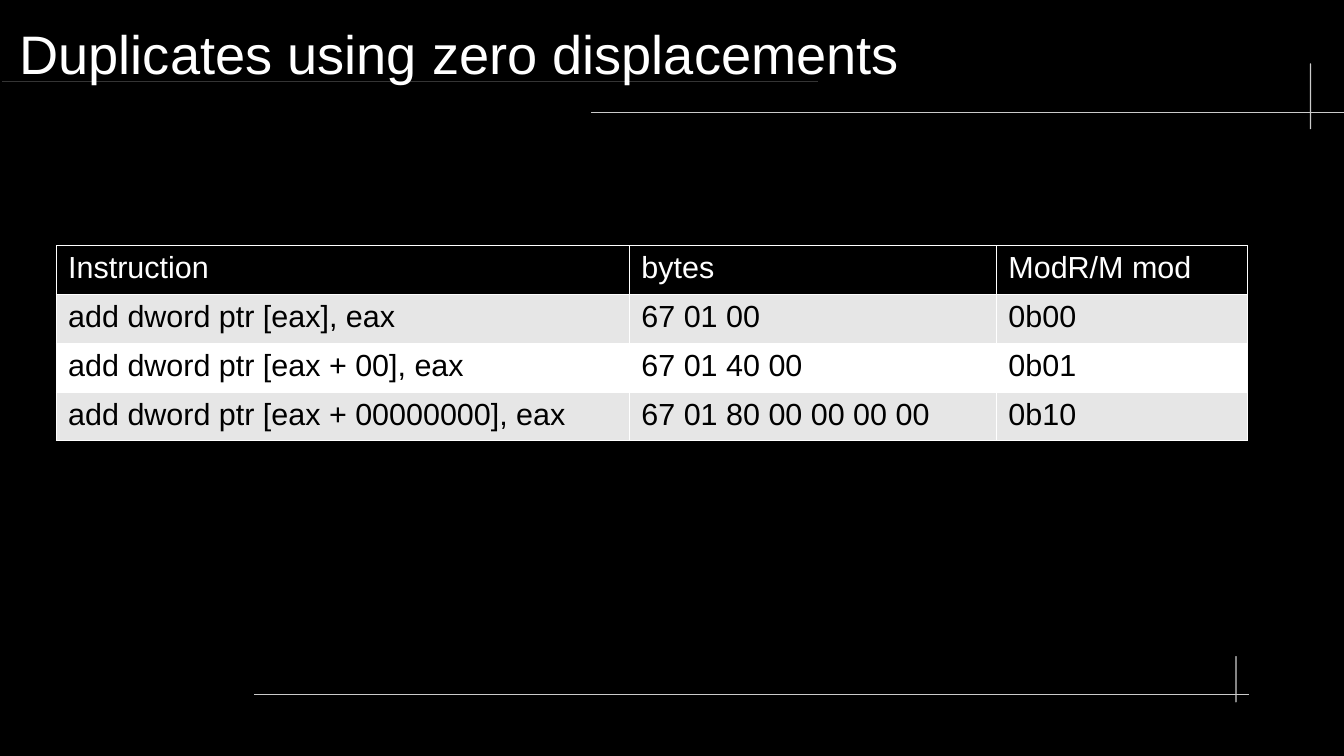
"""Build the slide that compares instruction encodings with zero displacements."""
from dataclasses import dataclass

from lxml.etree import SubElement
from pptx import Presentation
from pptx.dml.color import RGBColor as Rgb
from pptx.enum.shapes import MSO_SHAPE as Preset
from pptx.enum.text import MSO_ANCHOR as Anchor
from pptx.oxml.ns import qn
from pptx.slide import Slide
from pptx.table import _Cell as Cell
from pptx.text.text import TextFrame
from pptx.util import Emu, Inches, Pt

WIDTH, HEIGHT = Inches(11.02), Inches(6.2)


@dataclass(frozen=True)
class Theme:
    font: str = "Arial"
    title_size: float = 32
    table_size: float = 18
    border_width: float = 0.06
    black: str = "000000"
    white: str = "FFFFFF"
    band: str = "E6E6E6"
    light: str = "CCCCCC"
    dark: str = "333333"


@dataclass(frozen=True)
class Area:
    left: float
    top: float
    width: float
    height: float

    def box(self) -> tuple[Emu, Emu, Emu, Emu]:
        return across(self.left), down(self.top), across(self.width), down(self.height)


@dataclass(frozen=True)
class Rule:
    area: Area
    start: str
    end: str


THEME = Theme()
TITLE = "Duplicates using zero displacements"
TITLE_AREA = Area(1.45, 1.29, 94.65, 11.45)
RULES = (
    Rule(Area(0.18, 10.65, 60.71, 0.25), THEME.light, THEME.dark),
    Rule(Area(44.01, 14.84, 56.35, 0.16), THEME.dark, THEME.light),
    Rule(Area(97.46, 8.39, 0.09, 8.71), THEME.light, THEME.light),
    Rule(Area(18.87, 91.77, 74.05, 0.16), THEME.dark, THEME.light),
    Rule(Area(91.92, 86.77, 0.09, 6.13), THEME.light, THEME.light),
)
ENCODINGS = (
    ("Instruction", "bytes", "ModR/M mod"),
    ("add dword ptr [eax], eax", "67 01 00", "0b00"),
    ("add dword ptr [eax + 00], eax", "67 01 40 00", "0b01"),
    ("add dword ptr [eax + 00000000], eax", "67 01 80 00 00 00 00", "0b10"),
)
COLUMNS = (42.65, 27.31, 18.69)
ROW = 6.45
TABLE_AREA = Area(4.17, 32.42, sum(COLUMNS), ROW * len(ENCODINGS))


def across(columns: float) -> Emu:
    """Turn hundredths of the slide's width into a length."""
    return Emu(round(WIDTH * columns / 100))


def down(rows: float) -> Emu:
    """Turn hundredths of the slide's height into a length."""
    return Emu(round(HEIGHT * rows / 100))


def write(frame: TextFrame, text: str, size: float, color: str) -> None:
    """Put one styled paragraph in a text frame."""
    frame.text = text
    font = frame.paragraphs[0].font
    font.name, font.size = THEME.font, Pt(size)
    font.color.rgb = Rgb.from_string(color)


def draw_rule(slide: Slide, rule: Rule) -> None:
    """Draw a thin rounded bar that fades between two greys."""
    bar = slide.shapes.add_shape(Preset.ROUNDED_RECTANGLE, *rule.area.box())
    bar.adjustments[0] = 0.5
    bar.shadow.inherit = False
    bar.line.fill.background()
    if rule.start == rule.end:
        bar.fill.solid()
        bar.fill.fore_color.rgb = Rgb.from_string(rule.start)
        return
    bar.fill.gradient()
    bar.fill.gradient_angle = 90
    for stop, color in zip(bar.fill.gradient_stops, (rule.start, rule.end)):
        stop.color.rgb = Rgb.from_string(color)


def draw_title(slide: Slide) -> None:
    """Write the slide's heading."""
    frame = slide.shapes.add_textbox(*TITLE_AREA.box()).text_frame
    frame.word_wrap = True
    frame.vertical_anchor = Anchor.MIDDLE
    frame.margin_left = frame.margin_top = frame.margin_right = frame.margin_bottom = 0
    write(frame, TITLE, THEME.title_size, THEME.white)


def style_cell(cell: Cell, fill: str) -> None:
    """Give a cell hairline borders and a plain fill."""
    properties = cell._tc.get_or_add_tcPr()
    for side in ("a:lnL", "a:lnR", "a:lnT", "a:lnB"):
        line = SubElement(properties, qn(side), w=str(Pt(THEME.border_width)))
        solid = SubElement(line, qn("a:solidFill"))
        SubElement(solid, qn("a:srgbClr"), val=THEME.white)
    cell.fill.solid()
    cell.fill.fore_color.rgb = Rgb.from_string(fill)


def draw_encodings(slide: Slide) -> None:
    """Draw the table of instructions and their bytes."""
    size = len(ENCODINGS), len(COLUMNS)
    table = slide.shapes.add_table(*size, *TABLE_AREA.box()).table
    table.first_row = table.horz_banding = False
    for column, width in zip(table.columns, COLUMNS):
        column.width = across(width)
    for index, (row, encoding) in enumerate(zip(table.rows, ENCODINGS)):
        row.height = down(ROW)
        band = THEME.band if index % 2 else THEME.white
        fill, ink = (band, THEME.black) if index else (THEME.black, THEME.white)
        for cell, text in zip(row.cells, encoding):
            style_cell(cell, fill)
            write(cell.text_frame, text, THEME.table_size, ink)


def main() -> None:
    """Build and save the presentation."""
    deck = Presentation()
    deck.slide_width, deck.slide_height = WIDTH, HEIGHT
    slide = deck.slides.add_slide(deck.slide_layouts[6])
    slide.background.fill.solid()
    slide.background.fill.fore_color.rgb = Rgb.from_string(THEME.black)
    for rule in RULES:
        draw_rule(slide, rule)
    draw_title(slide)
    draw_encodings(slide)
    deck.save("out.pptx")


if __name__ == "__main__":
    main()
